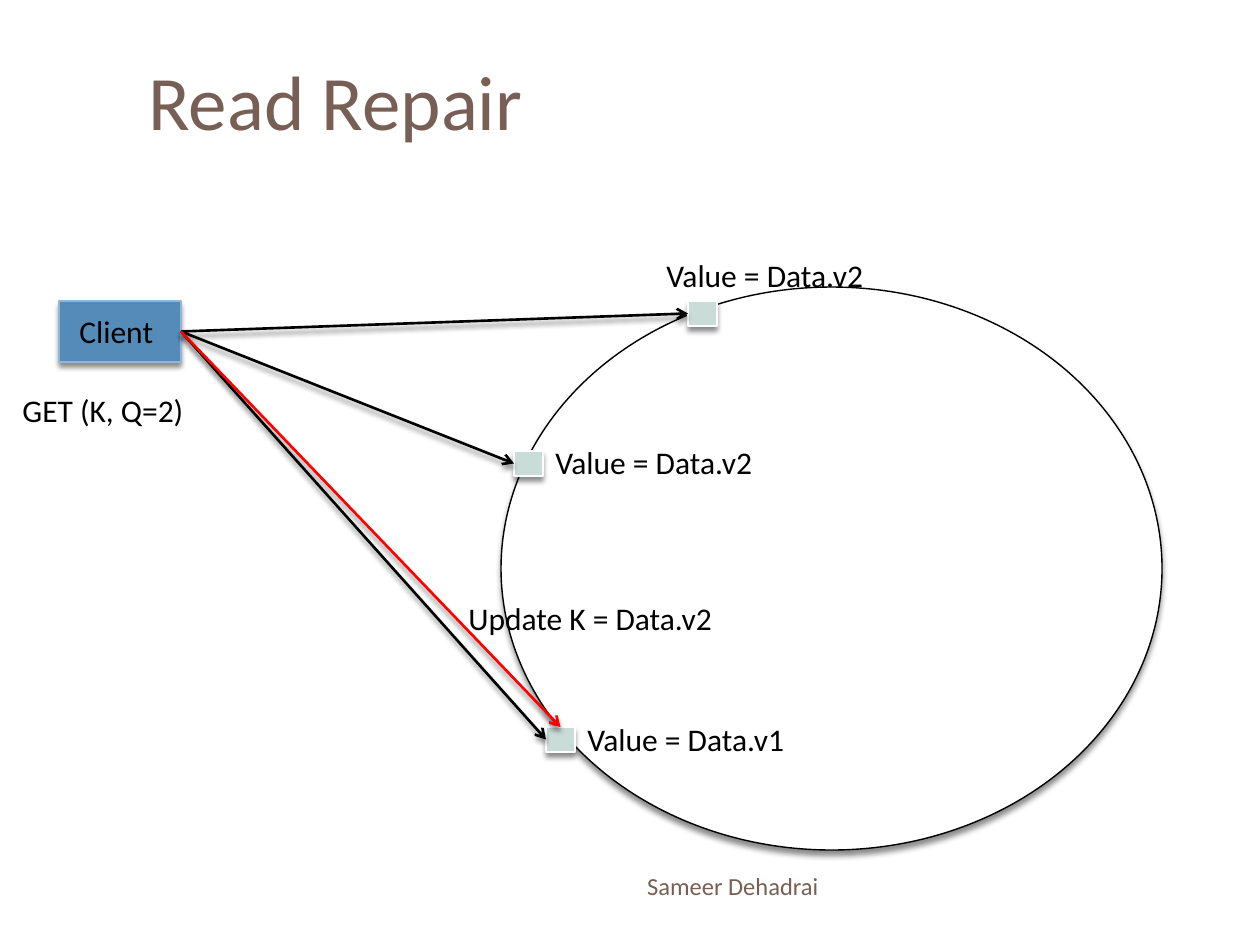
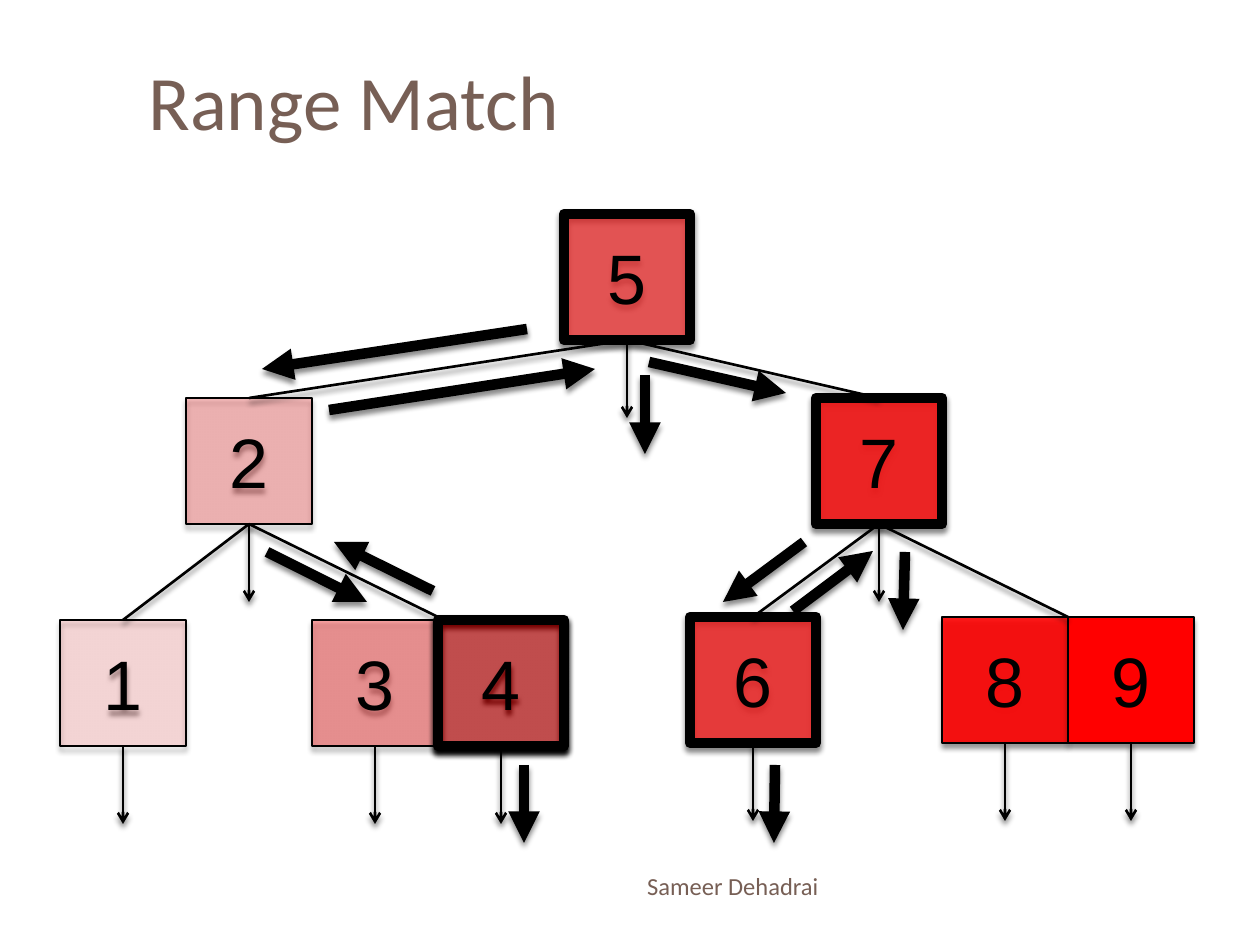
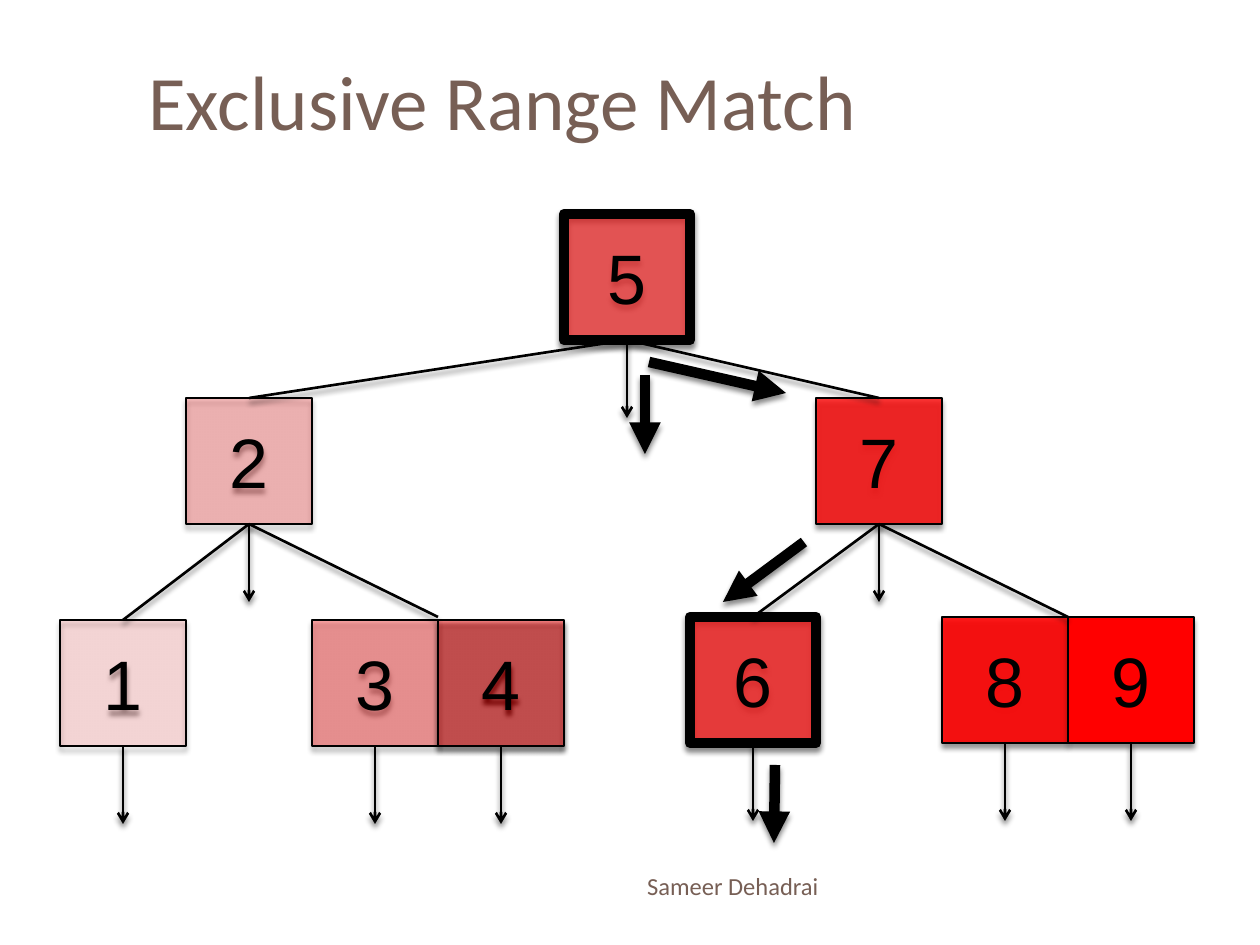
from lxml import etree
from pptx import Presentation, util as u
from pptx.dml.color import RGBColor
from pptx.enum import shapes, text
from pptx.oxml.ns import qn

EMU_PER_INCH = 914400
PX_PER_INCH = 126
COLORS = {
    "brown": "775F55",
    "black": "000000",
    "white": "FFFFFF",
    "red": "FF0000",
    "replica": "CADCD8",
    "client": "558BB8",
    "client_edge": "94B6D2",
}
THIN, EDGE, BOLD = 0.79, 1.5, 6
TOP, LEFT, BOTTOM, RIGHT = range(4)

NODE_SIZE = 126
POINTER_LENGTH = 78
NODE_TOPS = {1: 620, 2: 398, 3: 620, 4: 620, 5: 214, 6: 617, 7: 398, 8: 617, 9: 617}
TREE_EDGES = [(2, 1), (5, 2), (5, 7), (7, 6)]
# Parent and the corner shared by the two keys of its right child
PAIR_EDGES = [(2, (438, 617)), (7, (1068, 617))]

EXCLUSIVE_WALK = [
    ((649, 362), (786, 393)),
    ((645, 375), (645, 454)),
    ((804, 542), (723, 602)),
    ((775, 765), (774, 843)),
]
RANGE_WALK = EXCLUSIVE_WALK + [
    ((527, 329), (262, 369)),
    ((267, 552), (367, 602)),
    ((433, 591), (334, 542)),
    ((524, 765), (524, 843)),
    ((329, 410), (595, 369)),
    ((793, 611), (873, 551)),
    ((905, 552), (903, 630)),
]


def px(*lengths):
    return [u.Emu(round(length * EMU_PER_INCH / PX_PER_INCH)) for length in lengths]


def color(name):
    return RGBColor.from_string(COLORS[name])


def style_line(line, color_name, width):
    line.color.rgb = color(color_name)
    line.width = u.Pt(width)


def add_shadow(shape):
    """Give a soft shadow straight below; call it once fill and line are set."""
    effects = etree.SubElement(shape._element.spPr, qn("a:effectLst"))
    shadow = etree.SubElement(
        effects, qn("a:outerShdw"), blurRad=str(u.Pt(3)), dist=str(u.Pt(2.4)),
        dir="5400000", rotWithShape="0")
    shade = etree.SubElement(shadow, qn("a:srgbClr"), val=COLORS["black"])
    etree.SubElement(shade, qn("a:alpha"), val="45000")


def write(shape, words, size, color_name="black", font="Calibri",
          align=text.PP_ALIGN.LEFT):
    shape.text_frame.text = words
    paragraph = shape.text_frame.paragraphs[0]
    paragraph.alignment = align
    run = paragraph.runs[0]
    run.font.name = font
    run.font.size = u.Pt(size)
    run.font.color.rgb = color(color_name)


def add_text(slide, box, words, size, **style):
    """Add wrapping text, centred vertically in its box."""
    shape = slide.shapes.add_textbox(*px(*box))
    shape.text_frame.word_wrap = True
    shape.text_frame.vertical_anchor = text.MSO_ANCHOR.MIDDLE
    write(shape, words, size, **style)


def add_label(slide, left, top, width, words):
    shape = slide.shapes.add_textbox(*px(left, top, width, 50))
    shape.text_frame.word_wrap = False
    shape.text_frame.auto_size = text.MSO_AUTO_SIZE.SHAPE_TO_FIT_TEXT
    write(shape, words, 18)


def add_box(slide, kind, box, fill, line, width=THIN, opacity=100):
    shape = slide.shapes.add_shape(kind, *px(*box))
    shape.fill.solid()
    shape.fill.fore_color.rgb = color(fill)
    if opacity < 100:
        fill_color = shape._element.spPr.find(qn("a:solidFill"))[0]
        etree.SubElement(fill_color, qn("a:alpha"), val=str(opacity * 1000))
    style_line(shape.line, line, width)
    add_shadow(shape)
    return shape


def add_line(slide, start, end, color_name="black", width=EDGE, arrow=None):
    """Join two ends, each a point or a pair of shape and side."""
    connector = slide.shapes.add_connector(shapes.MSO_CONNECTOR.STRAIGHT, 0, 0, 0, 0)
    if isinstance(start[0], int):
        connector.begin_x, connector.begin_y = px(*start)
    else:
        connector.begin_connect(*start)
    if isinstance(end[0], int):
        connector.end_x, connector.end_y = px(*end)
    else:
        connector.end_connect(*end)
    style_line(connector.line, color_name, width)
    if arrow:
        line = connector._element.spPr.find(qn("a:ln"))
        etree.SubElement(line, qn("a:tailEnd"), type=arrow)
    add_shadow(connector)


def add_slide(presentation, title):
    """Start a blank slide with the shared title and footer."""
    slide = presentation.slides.add_slide(presentation.slide_layouts[6])
    add_text(slide, (136, 32, 1124, 136), title, 44, color_name="brown")
    add_text(slide, (84, 861, 747, 50), "Sameer Dehadrai", 14,
             color_name="brown", align=text.PP_ALIGN.RIGHT)
    return slide


def add_read_repair(presentation):
    slide = add_slide(presentation, "Read Repair")
    process = shapes.MSO_SHAPE.FLOWCHART_PROCESS
    add_box(slide, shapes.MSO_SHAPE.FLOWCHART_CONNECTOR, (501, 287, 661, 563),
            "white", "black")
    replicas = [add_box(slide, process, (left, top, 29, 25), "replica", "white")
                for left, top in [(688, 301), (514, 451), (546, 727)]]
    client = add_box(slide, process, (59, 301, 122, 61), "client", "client_edge")
    for replica in replicas:
        add_line(slide, (client, RIGHT), (replica, LEFT), arrow="arrow")
    add_line(slide, (client, RIGHT), (replicas[-1], TOP), "red", arrow="arrow")
    for left, top, width, words in [
        (67, 306, 107, "Client"),
        (10, 385, 220, "GET (K, Q=2)"),
        (654, 250, 251, "Value = Data.v2"),
        (543, 437, 251, "Value = Data.v2"),
        (575, 714, 251, "Value = Data.v1"),
        (456, 593, 304, "Update K = Data.v2"),
    ]:
        add_label(slide, left, top, width, words)


def add_node(slide, key, visited):
    left = 60 + (key - 1) * NODE_SIZE
    node = add_box(slide, shapes.MSO_SHAPE.RECTANGLE,
                   (left, NODE_TOPS[key], NODE_SIZE, NODE_SIZE), "red", "black",
                   BOLD if visited else THIN, opacity=12 + 11 * (key - 1))
    node.text_frame.vertical_anchor = text.MSO_ANCHOR.MIDDLE
    write(node, str(key), 40, font="Arial", align=text.PP_ALIGN.CENTER)
    return node


def add_tree(presentation, title, visited, walk):
    """Draw the search tree, its visited keys and the walk through it."""
    slide = add_slide(presentation, title)
    nodes = {key: add_node(slide, key, key in visited) for key in NODE_TOPS}
    for parent, child in TREE_EDGES:
        add_line(slide, (nodes[parent], BOTTOM), (nodes[child], TOP))
    for parent, corner in PAIR_EDGES:
        add_line(slide, (nodes[parent], BOTTOM), corner)
    for key, node in nodes.items():
        center = 60 + (key - 1) * NODE_SIZE + NODE_SIZE // 2
        pointer_end = NODE_TOPS[key] + NODE_SIZE + POINTER_LENGTH
        add_line(slide, (node, BOTTOM), (center, pointer_end), arrow="arrow")
    for start, end in walk:
        add_line(slide, start, end, width=BOLD, arrow="triangle")


def main():
    presentation = Presentation()
    presentation.slide_width, presentation.slide_height = px(1260, 945)
    add_read_repair(presentation)
    add_tree(presentation, "Range Match", {4, 5, 6, 7}, RANGE_WALK)
    add_tree(presentation, "Exclusive Range Match", {5, 6}, EXCLUSIVE_WALK)
    presentation.save("out.pptx")


if __name__ == "__main__":
    main()
